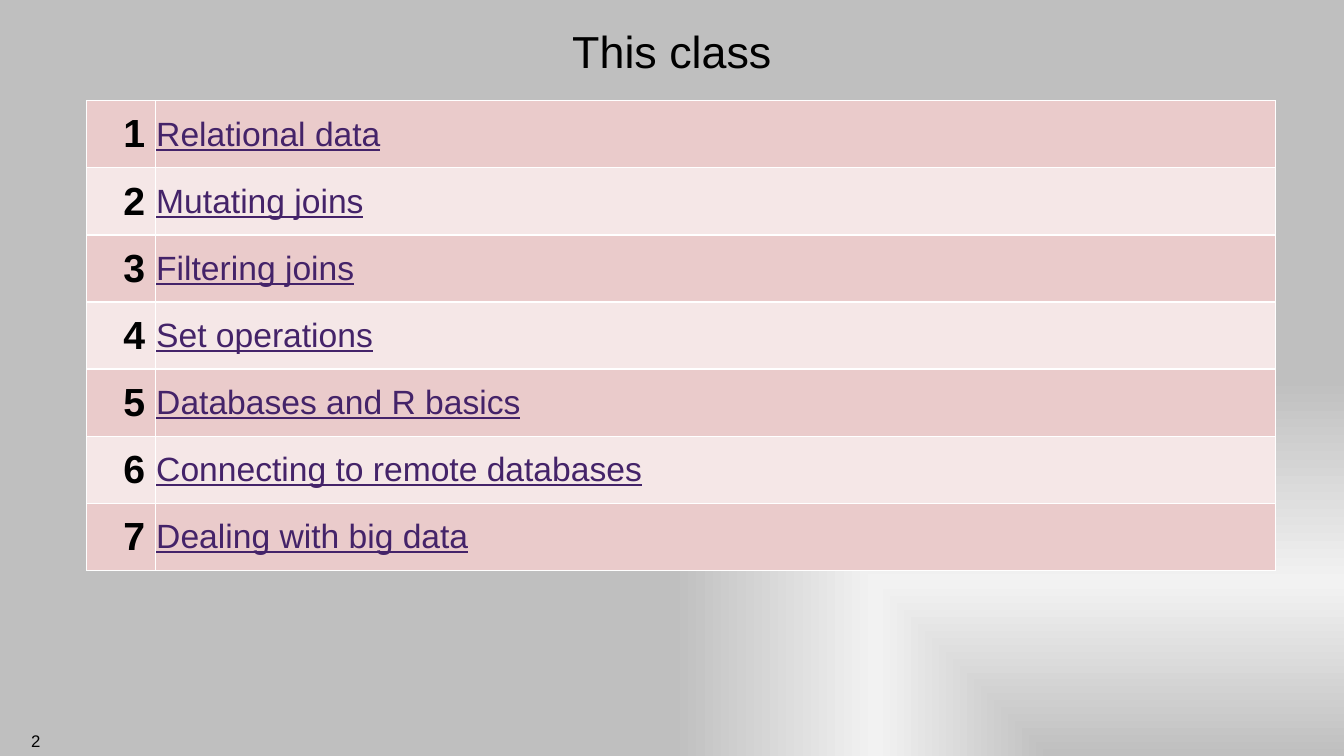
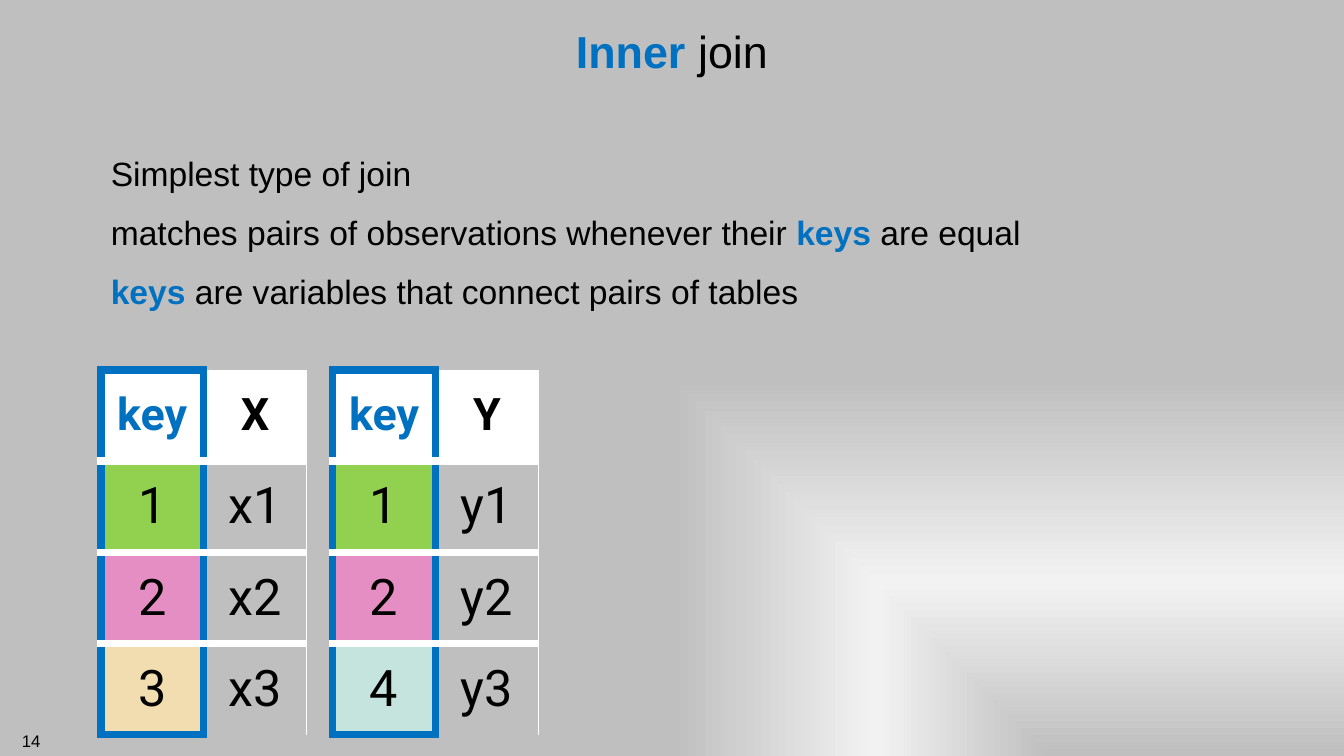
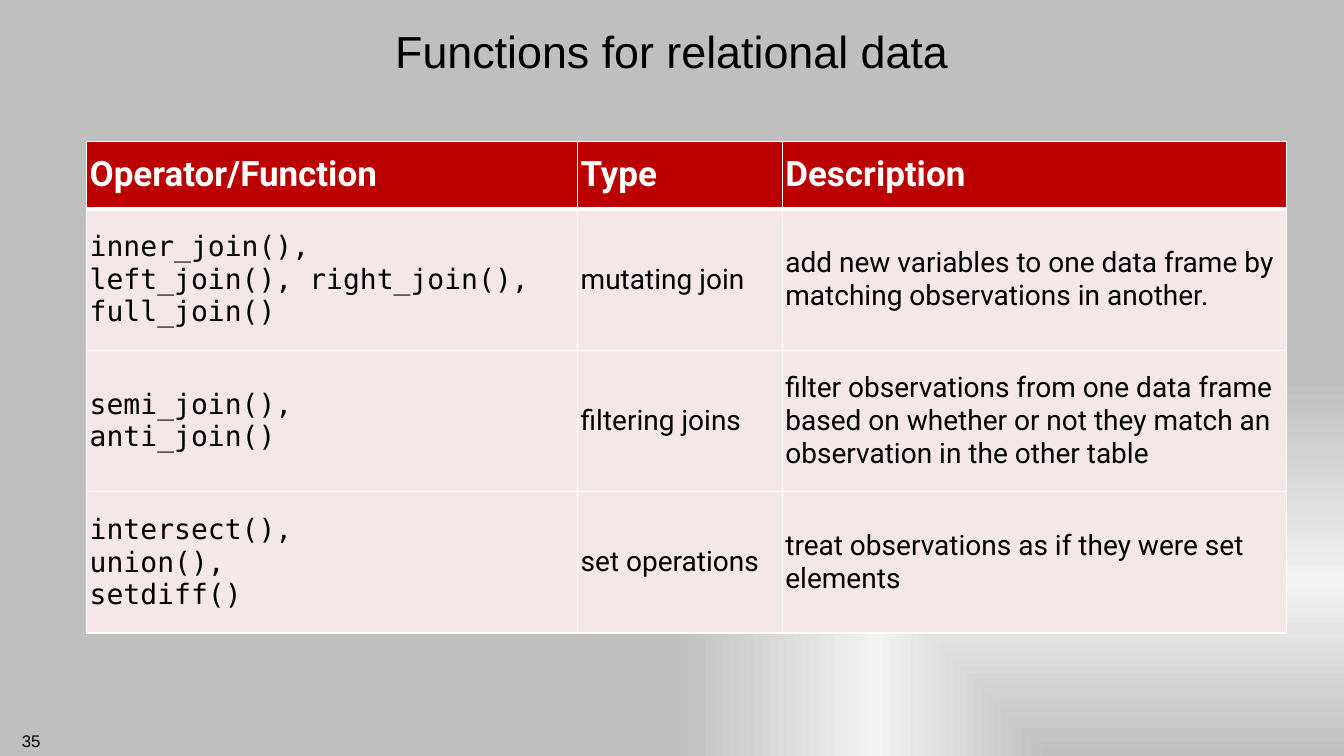
from dataclasses import dataclass, replace

from pptx import Presentation
from pptx.dml.color import RGBColor as Rgb
from pptx.enum.text import MSO_ANCHOR as Anchor, MSO_AUTO_SIZE as Fit, PP_ALIGN as Align
from pptx.oxml import parse_xml
from pptx.oxml.ns import nsdecls, qn
from pptx.util import Inches, Pt

UNIT = Inches(0.1)
WIDE, HIGH = 133.3, 75


@dataclass(frozen=True)
class Theme:
    sans: str = "Arial"
    text: str = "Roboto"
    code: str = "DejaVu Sans Mono"
    ink: str = "000000"
    white: str = "FFFFFF"
    blue: str = "0070C0"
    link: str = "442369"
    red: str = "BB0000"
    rose: str = "EACBCB"
    pale: str = "F5E7E7"
    gray: str = "BFBFBF"
    glow: str = "F2F2F2"
    lime: str = "92D050"
    pink: str = "E58EC4"
    sand: str = "F1DDAF"
    mint: str = "C5E4DD"
    page: int = 12
    small: int = 20
    body: int = 24
    head: int = 25
    count: int = 28
    title: int = 32
    large: int = 36


T = Theme()


@dataclass(frozen=True)
class Box:
    x: float
    y: float
    w: float
    h: float

    def spot(self):
        return [round(n * UNIT) for n in (self.x, self.y, self.w, self.h)]


@dataclass(frozen=True)
class Style:
    size: int
    face: str = T.sans
    color: str = T.ink
    bold: bool = False
    line: bool = False
    align: Align = Align.LEFT


def write(frame, text, style):
    for i, line in enumerate(text.split("\n")):
        para = frame.add_paragraph() if i else frame.paragraphs[0]
        para.alignment = style.align
        font = para.font
        font.size, font.name = Pt(style.size), style.face
        font.bold, font.underline = style.bold, style.line
        font.color.rgb = Rgb.from_string(style.color)
        for j, part in enumerate(line.split("*")):
            if part:
                run = para.add_run()
                run.text = part
                if j % 2:
                    run.font.bold = True
                    run.font.color.rgb = Rgb.from_string(T.blue)


def pad(frame, inset):
    frame.margin_left = frame.margin_right = Inches(inset)
    frame.margin_top = frame.margin_bottom = Inches(inset)


def edge(cell, sides):
    props = cell._tc.get_or_add_tcPr()
    for i, side in enumerate("LRTB"):
        color, width = sides.get(side, (None, 0))
        fill = f'<a:solidFill><a:srgbClr val="{color}"/></a:solidFill>' if color else "<a:noFill/>"
        props.insert(i, parse_xml(
            f'<a:ln{side} {nsdecls("a")} w="{Pt(width)}">{fill}</a:ln{side}>'))


def paint(cell, text, style, fill, sides):
    cell.vertical_anchor = Anchor.MIDDLE
    cell.fill.solid()
    cell.fill.fore_color.rgb = Rgb.from_string(fill)
    edge(cell, sides)
    write(cell.text_frame, text, style)


def grid(slide, box, cols, rows):
    table = slide.shapes.add_table(len(rows), len(cols), *box.spot()).table
    table.first_row = table.horz_banding = False
    for lines, sizes, side, full in (
            (table.columns, cols, "width", box.w), (table.rows, rows, "height", box.h)):
        for line, size in zip(lines, sizes):
            setattr(line, side, round(full * size / sum(sizes) * UNIT))
    return table


def frame(sides):
    return {side: (T.white, 1) for side in sides}


def backdrop(deck):
    stops = "".join(
        f'<a:gs pos="{pos * 1000}"><a:srgbClr val="{color}"/></a:gs>'
        for pos, color in ((0, T.gray), (46, T.glow), (100, T.gray)))
    base = deck.slide_master.element.cSld
    for old in base.findall(qn("p:bg")):
        base.remove(old)
    base.insert(0, parse_xml(
        f'<p:bg {nsdecls("p", "a")}><p:bgPr><a:gradFill rotWithShape="1">'
        f'<a:gsLst>{stops}</a:gsLst><a:path path="rect">'
        '<a:fillToRect l="100000" t="100000"/></a:path></a:gradFill>'
        '<a:effectLst/></p:bgPr></p:bg>'))


def start(deck, title, page):
    slide = deck.slides.add_slide(deck.slide_layouts[5])
    head = slide.shapes.title
    head.left, head.top, head.width, head.height = Box(10, 0, WIDE - 20, 10).spot()
    text = head.text_frame
    text.auto_size, text.vertical_anchor = Fit.NONE, Anchor.MIDDLE
    pad(text, 0.1)
    write(text, title, Style(T.title, align=Align.CENTER))
    note = slide.shapes.add_textbox(*Box(0, HIGH - 3, 5, 3).spot()).text_frame
    note.word_wrap = True
    write(note, str(page), Style(T.page, align=Align.RIGHT))
    return slide


def agenda(slide, box, topics):
    table = grid(slide, box, (6.8, 111.1), [1] * len(topics))
    count = Style(T.count, bold=True, align=Align.RIGHT)
    link = Style(T.body, color=T.link, line=True)
    for i, topic in enumerate(topics):
        fill = T.pale if i % 2 else T.rose
        paint(table.cell(i, 0), str(i + 1), count, fill, frame("LRTB"))
        pad(table.cell(i, 1), 0.01)
        paint(table.cell(i, 1), topic, link, fill, frame("LRTB"))


def points(slide, box, text):
    body = slide.shapes.add_textbox(*box.spot()).text_frame
    body.word_wrap = True
    pad(body, 0.1)
    write(body, text, Style(T.body))
    for para in body.paragraphs:
        para.space_before, para.line_spacing = Pt(12), 1.05
        para._p.get_or_add_pPr().set("marL", str(Inches(0.14)))


def keyed(slide, box, name, keys):
    table = grid(slide, box, (1, 1), [1] * (len(keys) + 1))
    cell = Style(T.large, T.text, align=Align.CENTER)
    head = replace(cell, size=T.title, bold=True)
    blue, white, thin = (T.blue, 6), (T.white, 6), (T.white, 0.25)
    rows = [("key", name, T.white, T.white)]
    rows += [(key, f"{name.lower()}{i}", fill, T.gray)
             for i, (key, fill) in enumerate(keys, 1)]
    for i, (key, value, tint, plain) in enumerate(rows):
        first, last = i == 0, i == len(keys)
        style = head if first else cell
        left = {"L": blue, "R": blue, "T": blue if first else white,
                "B": blue if last else white}
        right = {"L": blue, "R": thin}
        if not first:
            right["T"] = white
        if not last:
            right["B"] = white
        paint(table.cell(i, 0), key, replace(style, color=T.blue) if first else style, tint, left)
        paint(table.cell(i, 1), value, style, plain, right)


def guide(slide, box, heads, rows):
    table = grid(slide, box, (48.7, 20.3, 50), [6.7] + [14] * len(rows))
    head = Style(T.head, T.text, T.white, bold=True)
    cell = Style(T.small, T.text)
    code = replace(cell, face=T.code)
    for i, row in enumerate([heads, *rows]):
        sides = frame("LRTB")
        if i < 2:
            sides["T" if i else "B"] = (T.white, 3)
        for j, text in enumerate(row):
            style = (cell if j else code) if i else head
            pad(table.cell(i, j), 0.03)
            paint(table.cell(i, j), text, style, T.pale if i else T.red, sides)


def main():
    deck = Presentation()
    deck.slide_width, deck.slide_height = round(WIDE * UNIT), HIGH * UNIT
    backdrop(deck)

    agenda(start(deck, "This class", 2), Box(8.6, 10, 117.9, 46.6), (
        "Relational data", "Mutating joins", "Filtering joins", "Set operations",
        "Databases and R basics", "Connecting to remote databases",
        "Dealing with big data"))

    join = start(deck, "*Inner* join", 14)
    points(join, Box(8.6, 14, 117.9, 53),
           "Simplest type of join\n"
           "matches pairs of observations whenever their *keys* are equal\n"
           "*keys* are variables that connect pairs of tables")
    both = [("1", T.lime), ("2", T.pink)]
    for i, (name, last) in enumerate((("X", ("3", T.sand)), ("Y", ("4", T.mint)))):
        keyed(join, Box(10 + 23 * i, 36.7, 20.4, 36.2), name, [*both, last])

    guide(start(deck, "Functions for relational data", 35), Box(8.6, 14, 119, 48.8),
          ("Operator/Function", "Type", "Description"), (
        ("inner_join(),\nleft_join(), right_join(),\nfull_join()", "mutating join",
         "add new variables to one data frame by matching observations in another."),
        ("semi_join(),\nanti_join()", "filtering joins",
         "filter observations from one data frame based on whether or not they match "
         "an observation in the other table"),
        ("intersect(),\nunion(),\nsetdiff()", "set operations",
         "treat observations as if they were set elements")))
    deck.save("out.pptx")


if __name__ == "__main__":
    main()
